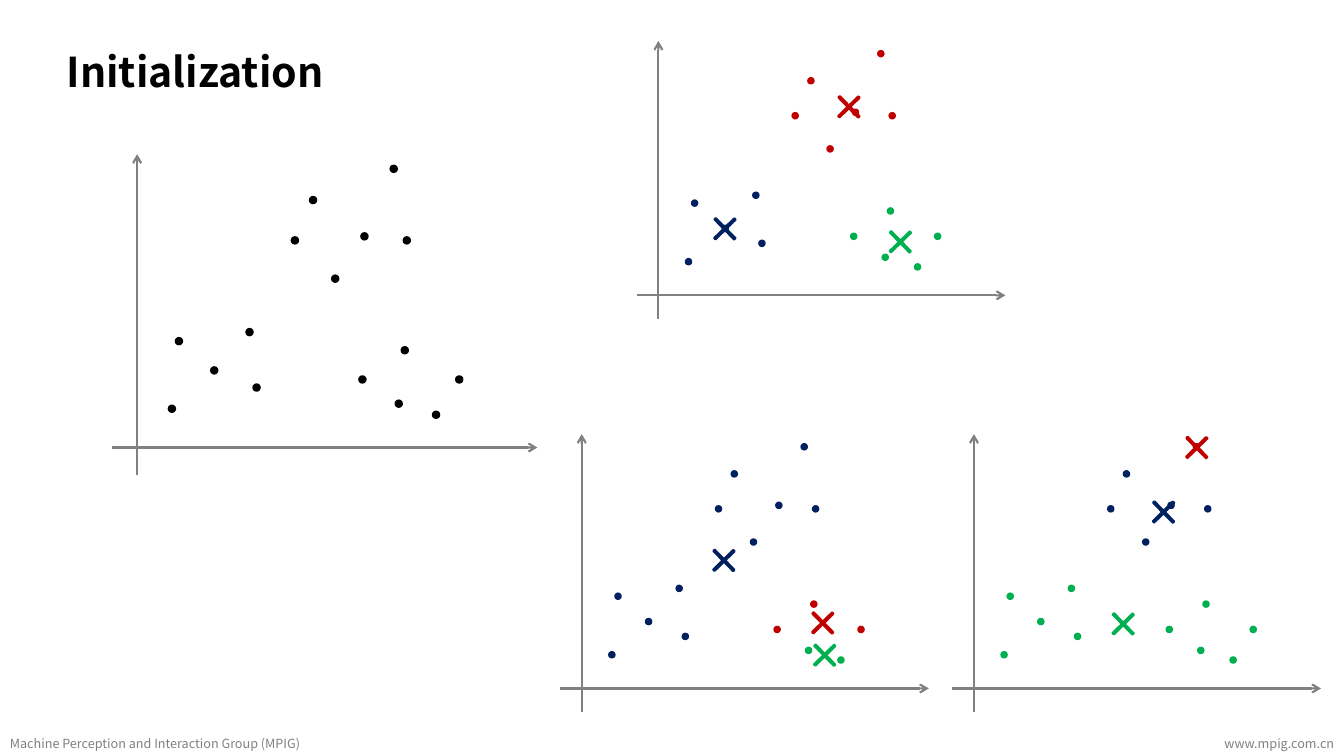
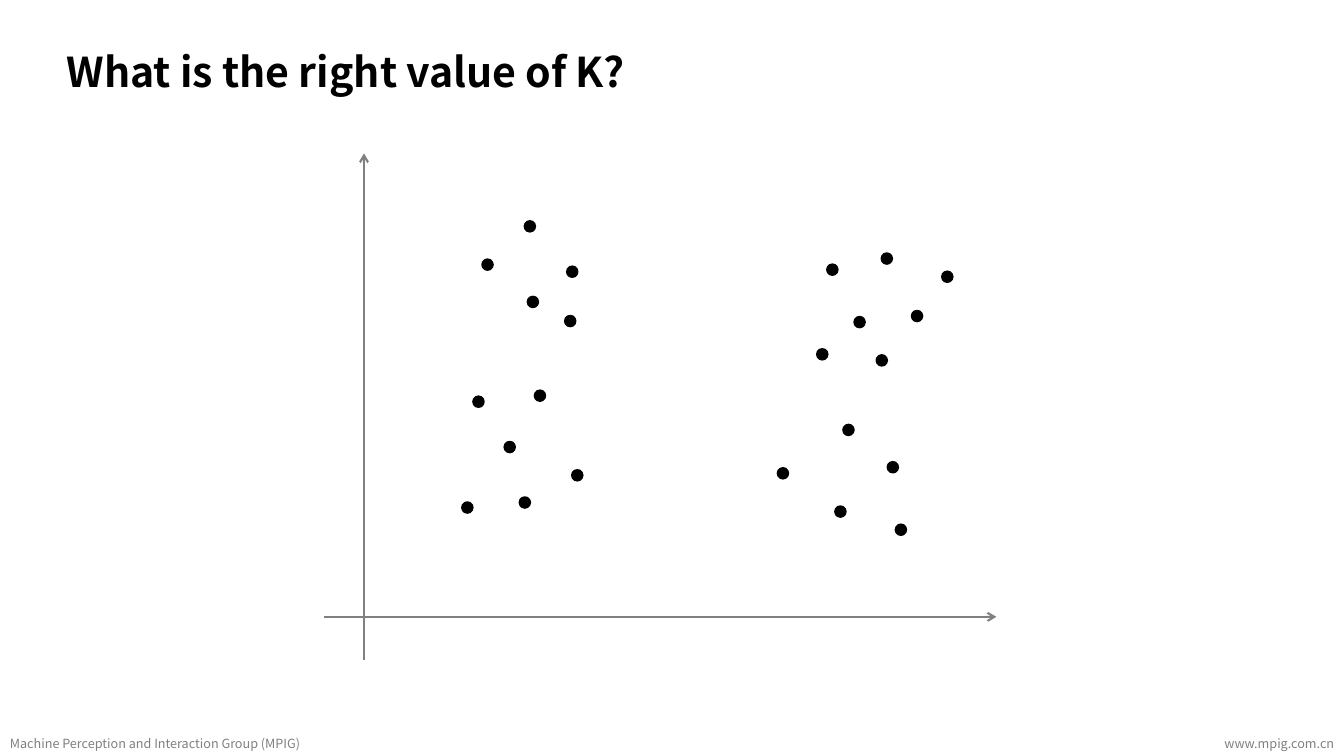
from dataclasses import dataclass

from pptx import Presentation
from pptx.dml.color import RGBColor
from pptx.enum import shapes, text
from pptx.oxml import parse_xml
from pptx.oxml.ns import nsdecls
from pptx.util import Inches, Pt

COLORS = {"k": "000000", "r": "C00000", "g": "00B050", "b": "002060", "axis": "808080"}
HEAD_FONT = "Noto Sans CJK SC"
FOOT_FONT = "Noto Sans CJK TC"
DOT = 0.07
CROSS = 0.28
SMALL = 0.867
LARGE = 1.58

# Dot corners: inches right of and above the origin
SPOTS = [
    (0.31, 0.42), (0.73, 0.80), (1.08, 1.18), (1.15, 0.63), (0.38, 1.09),
    (1.53, 2.09), (2.22, 2.13), (2.51, 2.80), (1.71, 2.49), (2.64, 2.09),
    (1.93, 1.71), (3.16, 0.71), (2.62, 1.00), (2.93, 0.36), (2.56, 0.47),
    (2.20, 0.71),
]
TINY = [(x * SMALL, y * SMALL) for x, y in SPOTS]
GROUPS = [
    (0.97, 1.14), (1.39, 1.74), (1.69, 2.25), (2.06, 1.46), (1.08, 2.19),
    (1.59, 3.93), (2.01, 3.48), (1.62, 3.18), (1.17, 3.55), (1.99, 2.99),
    (1.54, 1.19), (5.19, 1.54), (4.75, 1.91), (5.27, 0.92), (4.67, 1.10),
    (4.10, 1.48), (5.43, 3.04), (4.59, 3.50), (5.08, 2.60), (4.49, 2.66),
    (4.86, 2.98), (5.73, 3.43), (5.13, 3.61),
]


@dataclass
class Plot:
    x: float
    y: float
    scale: float
    spots: list[tuple[float, float]]
    tints: str  # one colour key per spot
    marks: tuple[tuple[str, float, float], ...] = ()  # colour key, left, top


@dataclass
class Page:
    title: str
    plots: list[Plot]


PAGES = [
    Page("Initialization", [
        Plot(1.36, 4.44, 1, SPOTS, "k" * 16),
        Plot(6.53, 2.93, SMALL, TINY, "b" * 5 + "r" * 6 + "g" * 5,
             (("r", 8.28, 0.92), ("g", 8.79, 2.26), ("b", 7.05, 2.13))),
        Plot(5.77, 6.83, SMALL, TINY, "b" * 11 + "rrggr",
             (("r", 8.02, 6.04), ("g", 8.04, 6.36), ("b", 7.04, 5.42))),
        Plot(9.66, 6.83, SMALL, TINY, "g" * 5 + "bbrbbb" + "g" * 5,
             (("r", 11.73, 4.30), ("g", 11.00, 6.05), ("b", 11.40, 4.94))),
    ]),
    Page("What is the right value of K?", [
        Plot(3.61, 6.12, LARGE, GROUPS, "k" * len(GROUPS)),
    ]),
]


def color(key: str) -> RGBColor:
    return RGBColor.from_string(COLORS[key])


def write(box, words: str, face: str, size: float, key: str,
          align=text.PP_ALIGN.LEFT, bold: bool = False) -> None:
    frame = box.text_frame
    frame.text = words
    frame.word_wrap = True
    frame.auto_size = text.MSO_AUTO_SIZE.NONE
    frame.vertical_anchor = text.MSO_ANCHOR.MIDDLE
    frame.margin_top = frame.margin_bottom = 0
    para = frame.paragraphs[0]
    para.alignment = align
    font = para.font
    font.name, font.size, font.bold = face, Pt(size), bold
    font.color.rgb = color(key)


def draw_shape(group, kind, x: float, y: float, size: float, key: str, width: float):
    shape = group.shapes.add_shape(kind, Inches(x), Inches(y), Inches(size), Inches(size))
    shape.shadow.inherit = False
    shape.fill.solid()
    shape.fill.fore_color.rgb = color(key)
    shape.line.color.rgb = color(key)
    shape.line.width = Pt(width)
    return shape


def draw_axis(group, x1: float, y1: float, x2: float, y2: float) -> None:
    axis = group.shapes.add_connector(
        shapes.MSO_CONNECTOR.STRAIGHT, Inches(x1), Inches(y1), Inches(x2), Inches(y2))
    axis.line.color.rgb = color("axis")
    axis.line.width = Pt(1.5)
    axis.line._get_or_add_ln().append(
        parse_xml(f'<a:tailEnd {nsdecls("a")} type="arrow"/>'))
    axis.element.spPr.append(parse_xml(f'<a:effectLst {nsdecls("a")}/>'))


def draw_plot(slide, plot: Plot) -> None:
    group = slide.shapes.add_group_shape()
    x, y, k = plot.x, plot.y, plot.scale
    # Cluster centres
    for key, left, top in plot.marks:
        cross = draw_shape(group, shapes.MSO_SHAPE.CROSS, left, top, CROSS, key, 1.5)
        cross.adjustments[0] = 0.466
        cross.rotation = 45.6
    # Axes
    draw_axis(group, x, y + 0.27 * k, x, y - 2.91 * k)
    draw_axis(group, x - 0.25 * k, y, x + 3.97 * k, y)
    # Data
    for (right, up), key in zip(plot.spots, plot.tints):
        draw_shape(group, shapes.MSO_SHAPE.OVAL, x + right, y - up, DOT * k, key, 1)


def add_footer(slide) -> None:
    """Place both footer texts on the layout that the slides share."""
    layout = slide.slide_layout
    for holder in list(layout.placeholders)[1:]:
        holder.element.getparent().remove(holder.element)
    boxes = []
    for words, left, width, align in (
        ("Machine Perception and Interaction Group (MPIG)", 0, 5.69, text.PP_ALIGN.LEFT),
        ("www.mpig.com.cn", 9.5, 3.83, text.PP_ALIGN.RIGHT),
    ):
        box = slide.shapes.add_textbox(Inches(left), Inches(7.25), Inches(width), Inches(0.25))
        write(box, words, FOOT_FONT, 9, "axis", align)
        boxes.append(box)
    for box in boxes:
        layout.shapes.element.append(box.element)


def main() -> None:
    deck = Presentation()
    deck.slide_width, deck.slide_height = Inches(13.33), Inches(7.5)
    layout = deck.slide_layouts[5]
    for page in PAGES:
        slide = deck.slides.add_slide(layout)
        if len(deck.slides) == 1:
            add_footer(slide)
        title = slide.shapes.title
        title.left, title.top = Inches(0.56), Inches(0.41)
        title.width, title.height = Inches(12.11), Inches(0.59)
        write(title, page.title, HEAD_FONT, 29.3, "k", bold=True)
        for plot in page.plots:
            draw_plot(slide, plot)
    deck.save("out.pptx")


if __name__ == "__main__":
    main()
